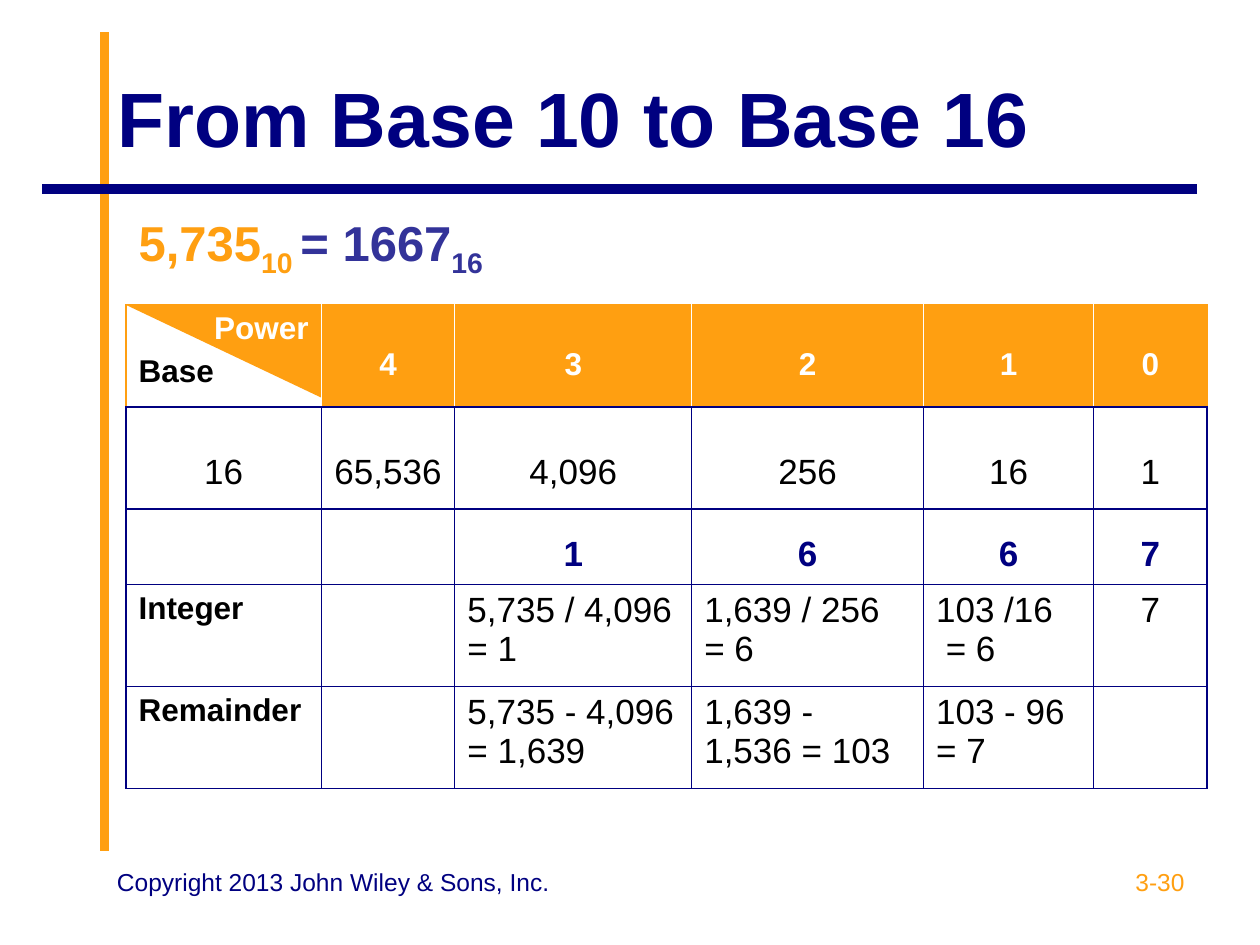
from dataclasses import dataclass

from lxml import etree
from pptx import Presentation
from pptx import util as u
from pptx.dml.color import RGBColor
from pptx.enum import shapes, text
from pptx.oxml.ns import qn


@dataclass(frozen=True)
class Theme:
    font: str = "Arial"
    orange: str = "FF9F11"
    navy: str = "000080"
    indigo: str = "333399"
    black: str = "000000"
    white: str = "FFFFFF"
    title: int = 44
    formula: int = 28
    number: int = 20
    label: int = 18
    footer: int = 14
    rule: float = 5.5
    border: float = 0.75


@dataclass(frozen=True)
class Style:
    size: float
    color: str
    bold: bool = False
    align: text.PP_ALIGN = text.PP_ALIGN.LEFT
    spacing: float = 1


class SlideBuilder:
    def __init__(self, slide, theme):
        self.slide = slide
        self.theme = theme

    def run(self, paragraph, wording, style, color=None, baseline=0):
        run = paragraph.add_run()
        run.text = wording
        run.font.name = self.theme.font
        run.font.size = u.Pt(style.size)
        run.font.bold = style.bold
        run.font.color.rgb = RGBColor.from_string(color or style.color)
        if baseline:
            run._r.get_or_add_rPr().set("baseline", str(baseline * 1000))

    def paragraph(self, paragraph, wording, style):
        paragraph.alignment = style.align
        paragraph.line_spacing = style.spacing
        for index, line in enumerate(wording.split("\n")):
            if index:
                paragraph.add_line_break()
            self.run(paragraph, line, style)

    def title(self, wording, box, style):
        title = self.slide.shapes.title
        title.left, title.top, title.width, title.height = map(u.Inches, box)
        title.text_frame.vertical_anchor = text.MSO_ANCHOR.MIDDLE
        title.text_frame.auto_size = text.MSO_AUTO_SIZE.NONE
        self.paragraph(title.text_frame.paragraphs[0], wording, style)

    def text_box(self, wording, box, style):
        shape = self.slide.shapes.add_textbox(*map(u.Inches, box))
        shape.text_frame.word_wrap = True
        self.paragraph(shape.text_frame.paragraphs[0], wording, style)

    def line(self, start, end, color):
        connector = self.slide.shapes.add_connector(
            shapes.MSO_CONNECTOR.STRAIGHT, *map(u.Inches, (*start, *end)))
        connector.line.color.rgb = RGBColor.from_string(color)
        connector.line.width = u.Pt(self.theme.rule)
        etree.SubElement(connector._element.spPr, qn("a:effectLst"))

    def corner_triangle(self, box, color):
        shape = self.slide.shapes.add_shape(
            shapes.MSO_SHAPE.RIGHT_TRIANGLE, *map(u.Inches, box))
        shape.rotation = 180
        shape.shadow.inherit = False
        shape.fill.solid()
        shape.fill.fore_color.rgb = RGBColor.from_string(color)
        shape.line.fill.background()

    def table(self, left, top, widths, heights):
        box = (left, top, sum(widths), sum(heights))
        table = self.slide.shapes.add_table(
            len(heights), len(widths), *map(u.Inches, box)).table
        table.first_row = table.horz_banding = False
        for column, width in zip(table.columns, widths):
            column.width = u.Inches(width)
        for row, height in zip(table.rows, heights):
            row.height = u.Inches(height)
        return table

    def cell(self, cell, borders, fill=None):
        properties = cell._tc.get_or_add_tcPr()
        for side, color in zip("LRTB", borders):
            line = etree.SubElement(properties, qn(f"a:ln{side}"),
                                    w=str(u.Pt(self.theme.border)))
            solid = etree.SubElement(line, qn("a:solidFill"))
            etree.SubElement(solid, qn("a:srgbClr"), val=color)
        if fill:
            cell.fill.solid()
            cell.fill.fore_color.rgb = RGBColor.from_string(fill)
        else:
            cell.fill.background()


def fill_conversion_table(builder, table):
    theme = builder.theme
    center = text.PP_ALIGN.CENTER
    label = Style(theme.label, theme.black, True)
    power = Style(theme.label, theme.white, True, center, 2)
    place_value = Style(theme.number, theme.black, False, center, 2)
    digit = Style(theme.number, theme.navy, True, center, 1.5)
    working = Style(theme.number, theme.black)
    last_digit = Style(theme.number, theme.black, False, center)
    working_row = [label] + [working] * 4 + [last_digit]
    rows = [
        (["", "4", "3", "2", "1", "0"], [power] * 6),
        (["16", "65,536", "4,096", "256", "16", "1"], [place_value] * 6),
        (["", "", "1", "6", "6", "7"], [digit] * 6),
        (["Integer", "", "5,735 / 4,096 = 1", "1,639 / 256 \n= 6",
          "103 /16\n = 6", "7"], working_row),
        (["Remainder", "", "5,735 - 4,096 = 1,639", "1,639 - 1,536 = 103",
          "103 - 96 = 7", ""], working_row),
    ]
    last = len(table.columns) - 1

    for column in range(last + 1):
        builder.cell(table.cell(0, column), [theme.white] * 3 + [theme.orange])
        header_borders = [theme.white if column else theme.orange,
                          theme.white if column < last else theme.orange,
                          theme.orange, theme.navy]
        builder.cell(table.cell(1, column), header_borders,
                     theme.orange if column else None)
        for row in range(2, len(table.rows)):
            builder.cell(table.cell(row, column), [theme.navy] * 4)

    for row, (wordings, styles) in enumerate(rows, 1):
        for column, (wording, style) in enumerate(zip(wordings, styles)):
            if wording:
                paragraph = table.cell(row, column).text_frame.paragraphs[0]
                builder.paragraph(paragraph, wording, style)

    table.cell(0, 0).merge(table.cell(0, last))
    formula = Style(theme.formula, theme.orange, True)
    paragraph = table.cell(0, 0).text_frame.paragraphs[0]
    for wording, color, baseline in [("5,735", theme.orange, 0),
                                     ("10 ", theme.orange, -25),
                                     ("= 1667", theme.indigo, 0),
                                     ("16", theme.indigo, -25)]:
        builder.run(paragraph, wording, formula, color, baseline)

    corner = table.cell(1, 0).text_frame
    builder.paragraph(corner.paragraphs[0], "Power",
                      Style(theme.label, theme.white, True, text.PP_ALIGN.RIGHT))
    base = corner.add_paragraph()
    base.space_before = u.Pt(4.5)
    builder.paragraph(base, "Base", label)


def main():
    theme = Theme()
    presentation = Presentation()
    presentation.slide_width = u.Inches(10)
    presentation.slide_height = u.Inches(7.5)
    slide = presentation.slides.add_slide(presentation.slide_layouts[5])
    builder = SlideBuilder(slide, theme)

    builder.line((0.83, 6.75), (0.83, 0.25), theme.orange)
    builder.line((9.5, 1.5), (0.33, 1.5), theme.navy)
    builder.corner_triangle((1, 2.42, 1.58, 0.75), theme.orange)
    builder.title("From Base 10 to Base 16", (0.83, 0.3, 8.67, 1.25),
                  Style(theme.title, theme.navy, True))
    table = builder.table(1, 1.67, [1.55, 1.06, 1.88, 1.84, 1.35, 0.9],
                          [0.75, 0.81, 0.81, 0.6, 0.81, 0.81])
    fill_conversion_table(builder, table)
    builder.text_box("3-30", (7.17, 6.83, 2.33, 0.52),
                     Style(theme.footer, theme.orange, align=text.PP_ALIGN.RIGHT))
    builder.text_box("Copyright 2013 John Wiley & Sons, Inc.",
                     (0.83, 6.83, 3.67, 0.52), Style(theme.footer, theme.navy))
    presentation.save("out.pptx")


if __name__ == "__main__":
    main()
